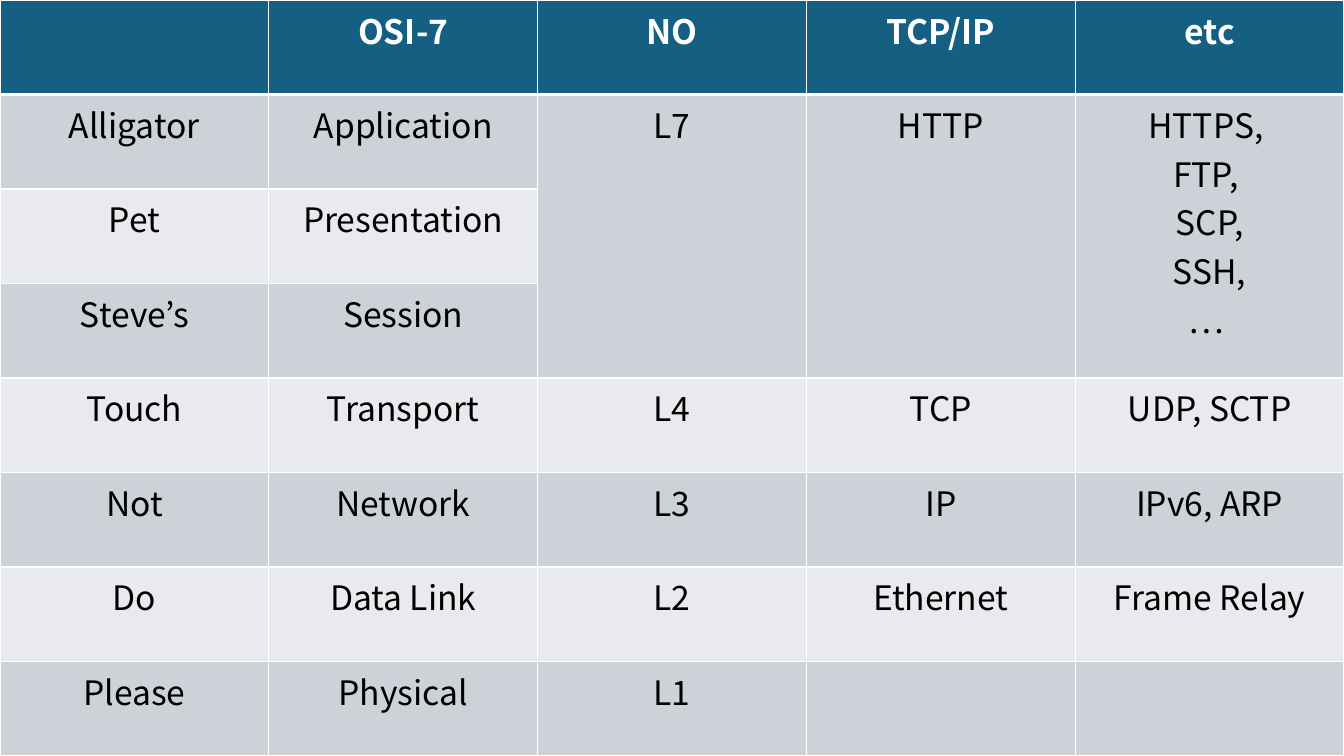
from lxml.etree import SubElement
from pptx import Presentation
from pptx.dml.color import RGBColor
from pptx.enum.text import PP_ALIGN
from pptx.oxml.ns import qn
from pptx.util import Cm, Pt

# Content: mnemonic, OSI layer, number, TCP/IP protocol, others
HEADER = ("", "OSI-7", "NO", "TCP/IP", "etc")
LAYERS = [
    ("Alligator", "Application", "L7", "HTTP", "HTTPS, \vFTP, \vSCP,\vSSH,\v… "),
    ("Pet", "Presentation", "", "", ""),
    ("Steve’s", "Session", "", "", ""),
    ("Touch", "Transport", "L4", "TCP", "UDP, SCTP"),
    ("Not", "Network", "L3", "IP", "IPv6, ARP"),
    ("Do", "Data Link", "L2", "Ethernet", "Frame Relay"),
    ("Please", "Physical", "L1", "", ""),
]
MERGED_ROWS = (1, 3)
MERGED_COLUMNS = (2, 3, 4)

FONT = "Noto Sans CJK KR"
WHITE = RGBColor(0xFF, 0xFF, 0xFF)
BLACK = RGBColor(0x00, 0x00, 0x00)
HEADER_FILL = RGBColor(0x15, 0x60, 0x82)
BAND_FILLS = (RGBColor(0xE8, 0xEA, 0xED), RGBColor(0xCC, 0xD2, 0xD8))
WIDTH, HEIGHT = Cm(33.87), Cm(19.05)


def add_borders(cell, widths):
    """Draw white lines on the sides named in widths (points)."""
    properties = cell._tc.get_or_add_tcPr()
    for side, width in widths.items():
        line = SubElement(properties, qn(f"a:ln{side}"), w=str(Pt(width)))
        fill = SubElement(line, qn("a:solidFill"))
        SubElement(fill, qn("a:srgbClr"), val=str(WHITE))


def format_cell(cell, text, row):
    is_header = row == 0
    add_borders(cell, {"L": 1, "R": 1, "T": 3 if row == 1 else 1, "B": 3 if is_header else 1})
    cell.fill.solid()
    cell.fill.fore_color.rgb = HEADER_FILL if is_header else BAND_FILLS[row % 2]
    if not text:
        return
    paragraph = cell.text_frame.paragraphs[0]
    paragraph.text = text
    paragraph.alignment = PP_ALIGN.CENTER
    for run in paragraph.runs:
        run.font.name = FONT
        run.font.size = Pt(24)
        run.font.bold = is_header
        run.font.color.rgb = WHITE if is_header else BLACK
        SubElement(run.font._element, qn("a:ea"), typeface=FONT)


presentation = Presentation()
presentation.slide_width, presentation.slide_height = WIDTH, HEIGHT
slide = presentation.slides.add_slide(presentation.slide_layouts[6])

# Full-slide table with equal rows and columns
rows = [HEADER, *LAYERS]
table = slide.shapes.add_table(len(rows), len(HEADER), 0, 0, WIDTH, HEIGHT).table
for row, texts in enumerate(rows):
    table.rows[row].height = HEIGHT // len(rows)
    for column, text in enumerate(texts):
        format_cell(table.cell(row, column), text, row)

# The top three layers share their last columns
first_row, last_row = MERGED_ROWS
for column in MERGED_COLUMNS:
    table.cell(first_row, column).merge(table.cell(last_row, column))

presentation.save("out.pptx")
